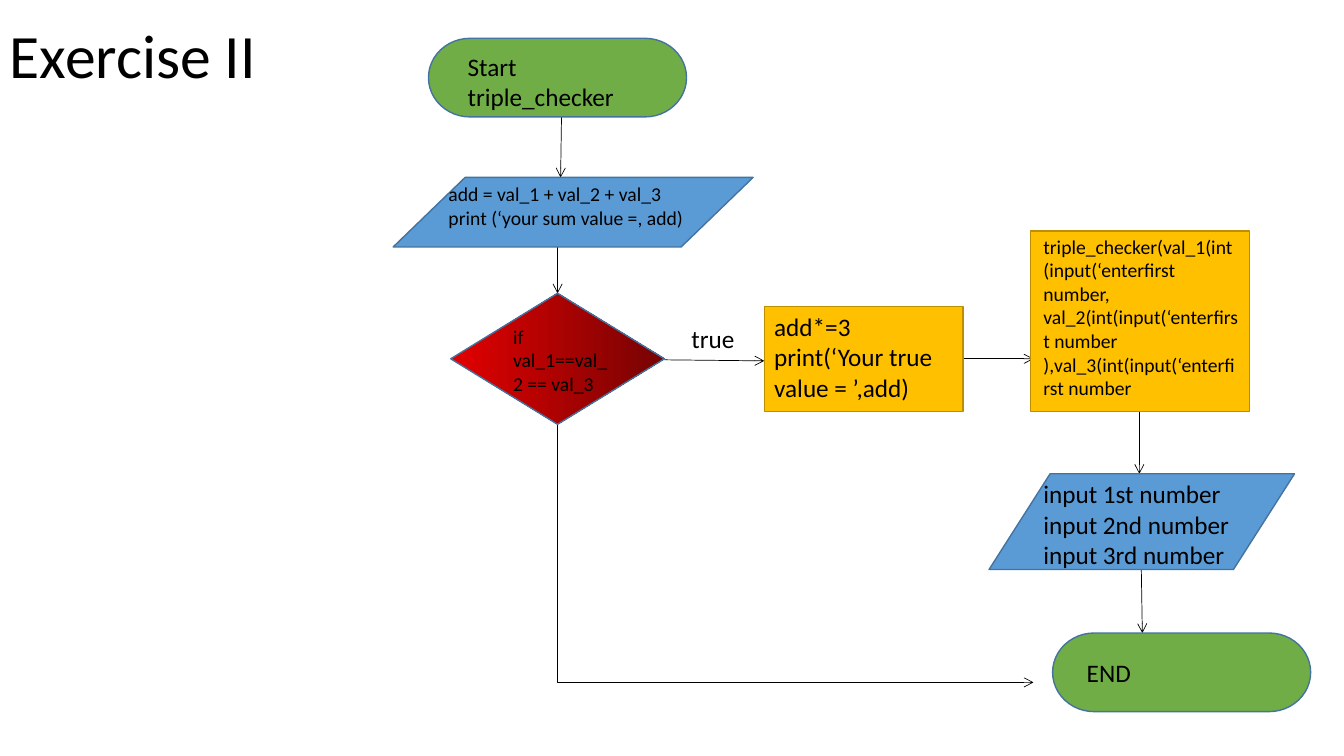
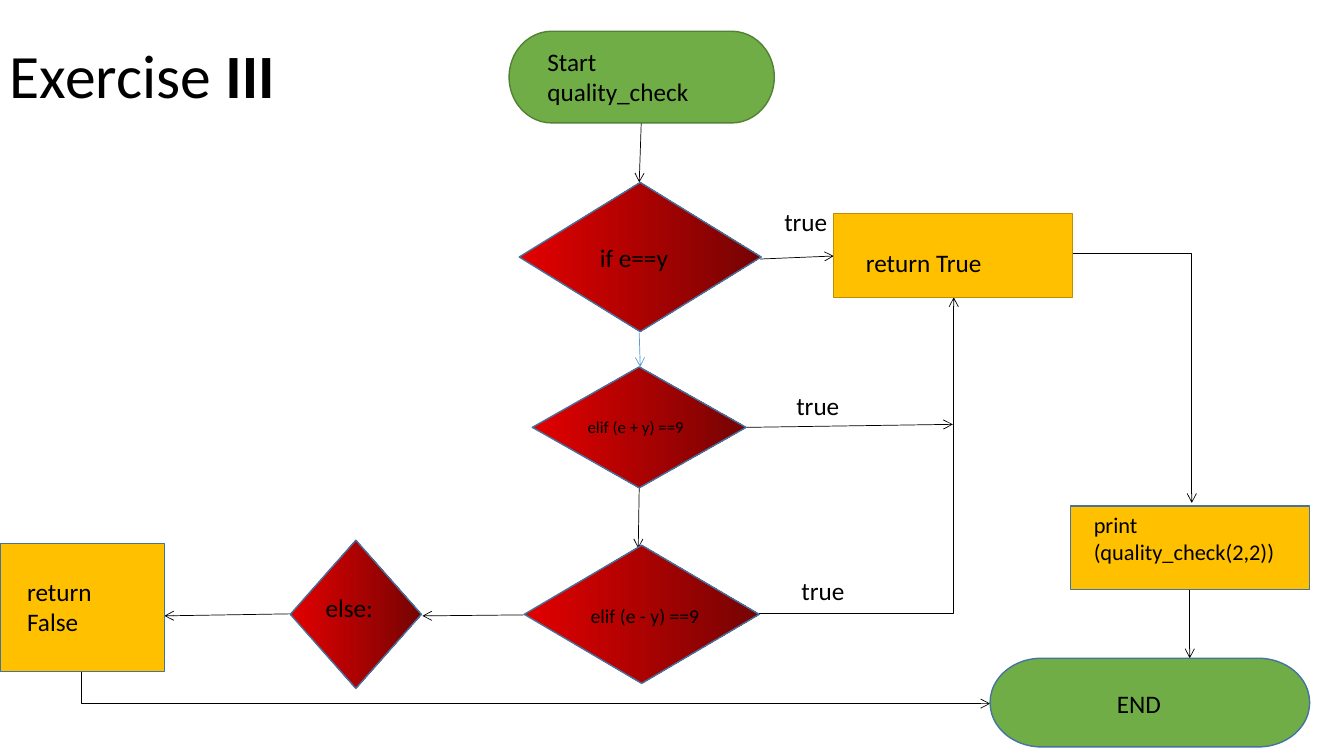
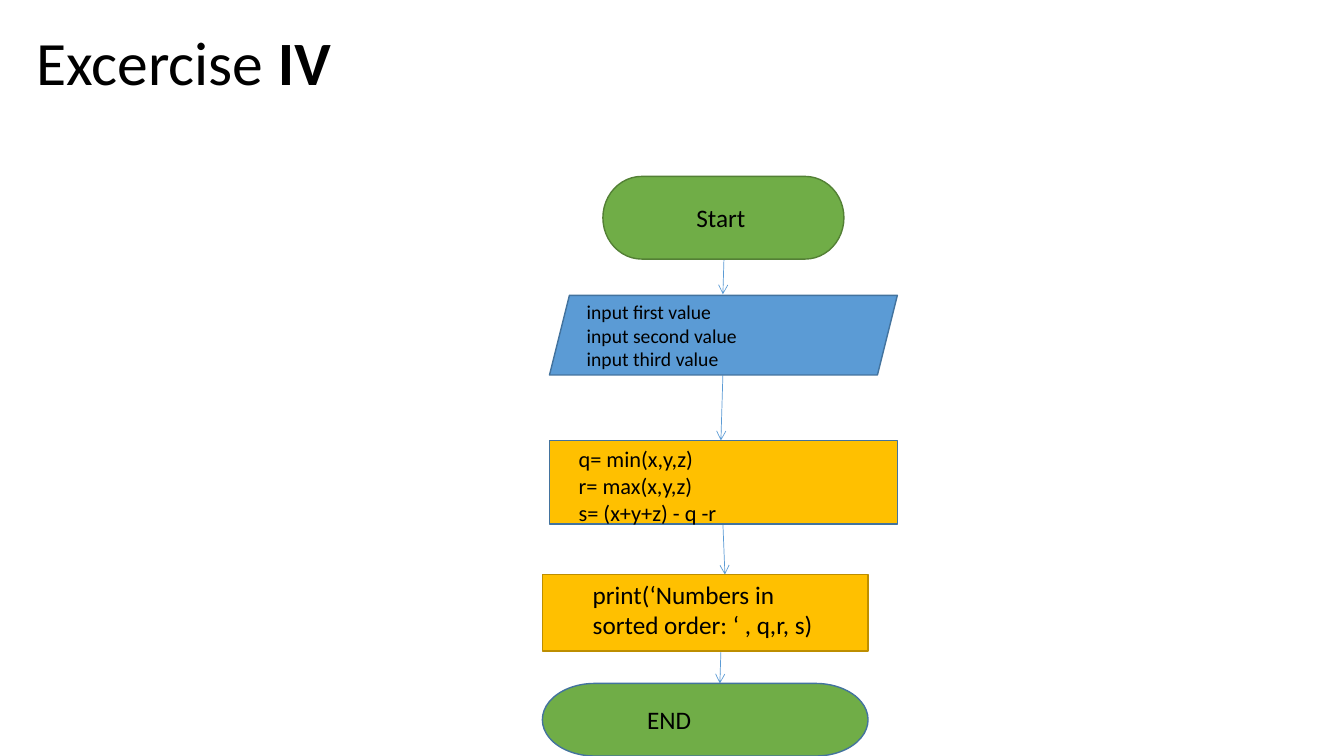
from pptx import Presentation
from pptx import util as u
from pptx.dml.color import RGBColor
from pptx.enum import shapes, text
from pptx.oxml.ns import qn
from lxml import etree

BLACK = RGBColor(0x00, 0x00, 0x00)
GREEN = RGBColor(0x70, 0xAD, 0x47)
BLUE = RGBColor(0x5B, 0x9B, 0xD5)
GOLD = RGBColor(0xFF, 0xC0, 0x00)
RED = RGBColor(0xE3, 0x00, 0x00)
DARK_RED = RGBColor(0x76, 0x03, 0x03)
BLUE_EDGE = RGBColor(0x43, 0x73, 0x9E)
GREEN_EDGE = RGBColor(0x53, 0x80, 0x35)
GOLD_EDGE = RGBColor(0xBD, 0x8E, 0x00)

FONT = "Calibri"
SHAPE = shapes.MSO_SHAPE
TERMINAL = (SHAPE.FLOWCHART_TERMINATOR, GREEN)
DATA = (SHAPE.FLOWCHART_DATA, BLUE)
SLANTED = (SHAPE.PARALLELOGRAM, BLUE)
PROCESS = (SHAPE.FLOWCHART_PROCESS, GOLD)
DECISION = (SHAPE.FLOWCHART_DECISION, None)  # None: red gradient
STRAIGHT, ACROSS, DOWN = "straight", "across first", "down first"

prs = Presentation()
prs.slide_width, prs.slide_height = u.Inches(13.33), u.Inches(7.5)
CELL = prs.slide_height / 75  # the grid has 75 rows of square cells


def grid(*cells):
    """Turn grid cells into whole slide units."""
    return [u.Emu(round(c * CELL)) for c in cells]


def write(s, box, size, paragraphs):
    """Add a wrapping text box and return its text frame."""
    tf = s.shapes.add_textbox(*grid(*box)).text_frame
    tf.word_wrap = True
    for i, line in enumerate(paragraphs):
        p = tf.paragraphs[0] if i == 0 else tf.add_paragraph()
        p.font.size, p.font.name, p.font.color.rgb = u.Pt(size), FONT, BLACK
        p.add_run().text = line
    return tf


# Boxes: left, top, width, height. Arrows: from x, y to x, y. All in cells.
triple_checker = dict(
    title=("Exercise II", "", (0, 0, 29.4, 11.7)),
    ink=BLACK,
    arrows=[
        (STRAIGHT, 55.7, 11.2, 55.6, 17.6),
        (STRAIGHT, 55.3, 24.1, 55.3, 29.1),
        (STRAIGHT, 65.9, 35.7, 75.8, 35.8),
        (STRAIGHT, 95.5, 35.6, 102.5, 35.6),
        (STRAIGHT, 113, 40.8, 113, 47),
        (STRAIGHT, 113.2, 56.5, 113.3, 62.8),
        (DOWN, 55.3, 42.1, 102.5, 67.7),
    ],
    steps=[
        (TERMINAL, BLUE_EDGE, (42.5, 3.8, 25.6, 7.8)),
        (DATA, BLUE_EDGE, (39, 17.6, 35.7, 6.9)),
        (DECISION, BLUE_EDGE, (44.7, 29.1, 21.2, 13)),
        (PROCESS, GOLD_EDGE, (75.8, 30.4, 19.7, 10.4)),
        (PROCESS, GOLD_EDGE, (102.2, 22.9, 21.7, 17.9)),
        (DATA, BLUE_EDGE, (98.1, 47, 30.3, 9.5)),
        (TERMINAL, BLUE_EDGE, (104.4, 62.8, 25.6, 7.8)),
    ],
    labels=[
        (18, (45.4, 4.6, 20.5, 7.1), ["Start triple_checker"]),
        (14, (43.5, 17.6, 26.3, 5.7),
         ["add = val_1 + val_2 + val_3", "print (‘your sum value =, add)"]),
        (14, (49.9, 31.7, 11.6, 8.1), ["if val_1==val_2 == val_3"]),
        (18, (67.6, 31.6, 8.2, 4), ["true"]),
        (18, (75.8, 30.4, 18.9, 10.1),
         ["add*=3", "print(‘Your true value = ’,add)"]),
        (14, (102.5, 22.8, 21.3, 22.2),
         ["triple_checker(val_1(int(input(‘enterfirst number, "
          "val_2(int(input(‘enterfirst number",
          "),val_3(int(input(‘enterfirst number"]),
        (18, (102.5, 47, 24.1, 10.1),
         [f"input {nth} number" for nth in ("1st", "2nd", "3rd")]),
        (18, (106.8, 64.7, 17.1, 4), ["END"]),
    ],
)

quality_check = dict(
    title=("Exercise ", "III", (0, 1.7, 50.5, 12.2)),
    ink=BLACK,
    arrows=[
        (STRAIGHT, 63.6, 12.2, 63.4, 18.1),
        (STRAIGHT, 63.4, 48.4, 63.3, 54.4),
        (STRAIGHT, 52, 61, 41.9, 61.1),
        (STRAIGHT, 28.8, 60.9, 16.3, 61.1),
        (STRAIGHT, 74, 42.4, 94.5, 42.1),
        (STRAIGHT, 75.4, 25.7, 82.7, 25.4),
        (STRAIGHT, 118, 58.5, 118, 65.3),
        (ACROSS, 75.3, 60.9, 94.6, 29.5),
        (ACROSS, 106.4, 25.1, 118.2, 49.9),
        (DOWN, 8.1, 66.6, 98.2, 69.8),
    ],
    blue_arrows=[(STRAIGHT, 63.4, 33, 63.5, 36.4)],
    steps=[
        (TERMINAL, GREEN_EDGE, (50.5, 3.1, 26.3, 9.1)),
        (DECISION, BLUE_EDGE, (51.5, 18.1, 24, 14.8)),
        (DECISION, BLUE_EDGE, (52.8, 36.4, 21.2, 12)),
        (DECISION, BLUE_EDGE, (52, 54.1, 23.3, 13.7)),
        (DECISION, BLUE_EDGE, (28.8, 53.6, 13, 14.7)),
        (PROCESS, BLUE_EDGE, (0, 53.9, 16.3, 12.7)),
        (PROCESS, GOLD_EDGE, (82.7, 21.2, 23.7, 8.3)),
        (PROCESS, BLUE_EDGE, (106.2, 50.2, 23.7, 8.3)),
        (TERMINAL, BLUE_EDGE, (98.2, 65.3, 31.7, 8.8)),
    ],
    labels=[
        (18, (53.3, 4.1, 20.2, 7.1), ["Start quality_check"]),
        (18, (58.5, 23.5, 10.1, 4), ["if e==y"]),
        (12, (57.3, 40.9, 19.5, 3), ["elif (e + y) ==9"]),
        (14, (57.6, 59.4, 13.4, 3.4), ["elif (e - y) ==9"]),
        (18, (31.3, 58.3, 8.2, 4), ["else:"]),
        (18, (1.7, 56.7, 12.9, 7.1), ["return", "False"]),
        (18, (76.8, 20, 6.8, 4), ["true"]),
        (18, (78, 38.2, 10.3, 4), ["true"]),
        (18, (78.5, 56.6, 11.6, 4), ["true"]),
        (18, (84.9, 24, 19.6, 4), ["return True"]),
        (16, (107.5, 50.2, 21, 6.4), ["print (quality_check(2,2))"]),
        (18, (109.8, 67.8, 16, 4), ["END"]),
    ],
)

number_sorter = dict(
    title=("Excercise ", "IV", (2.6, 1.2, 42.9, 10.6)),
    ink=BLUE,
    arrows=[
        (STRAIGHT, 71.8, 25.8, 71.7, 29.2),
        (STRAIGHT, 71.7, 37.2, 71.5, 43.7),
        (STRAIGHT, 71.7, 51.9, 71.9, 57),
        (STRAIGHT, 71.5, 64.6, 71.4, 67.8),
    ],
    steps=[
        (TERMINAL, GREEN_EDGE, (59.8, 17.5, 23.9, 8.2)),
        (SLANTED, BLUE_EDGE, (54.5, 29.3, 34.5, 7.9)),
        (PROCESS, BLUE_EDGE, (54.5, 43.7, 34.5, 8.3)),
        (PROCESS, GOLD_EDGE, (53.8, 57, 32.3, 7.6)),
        (TERMINAL, BLUE_EDGE, (53.8, 67.8, 32.3, 7.2)),
    ],
    centred="Start",
    labels=[
        (18, (61.5, 19.6, 20, 4), ["Start"]),
        (14, (57.2, 29.3, 28.9, 8.1),
         [f"input {nth} value" for nth in ("first", "second", "third")]),
        (16, (56.4, 43.7, 40.2, 9.1),
         ["q= min(x,y,z)", "r= max(x,y,z)", "s= (x+y+z) - q -r"]),
        (18, (57.8, 57, 25.9, 7.1),
         ["print(‘Numbers in sorted order: ‘ , q,r, s)"]),
        (18, (63.2, 69.4, 18.9, 4), ["END"]),
    ],
)

for chart in (triple_checker, quality_check, number_sorter):
    s = prs.slides.add_slide(prs.slide_layouts[6])

    plain, bold, box = chart["title"]
    tf = write(s, box, 44, [plain])
    tf.vertical_anchor = text.MSO_ANCHOR.MIDDLE
    tf.paragraphs[0].line_spacing = 0.9
    if bold:
        r = tf.paragraphs[0].add_run()
        r.text, r.font.bold = bold, True

    arrows = [(chart["ink"], *a) for a in chart["arrows"]]
    arrows += [(BLUE, *a) for a in chart.get("blue_arrows", [])]
    for ink, route, x1, y1, x2, y2 in arrows:
        if route == DOWN:  # laid out on its side, then turned upright
            cx, cy = (x1 + x2) / 2, (y1 + y2) / 2
            dx, dy = (x2 - x1) / 2, (y2 - y1) / 2
            x1, y1, x2, y2 = cx - dy, cy + dx, cx + dy, cy - dx
        kind = shapes.MSO_CONNECTOR
        kind = kind.STRAIGHT if route == STRAIGHT else kind.ELBOW
        arrow = s.shapes.add_connector(kind, *grid(x1, y1, x2, y2))
        arrow.line.color.rgb, arrow.line.width = ink, u.Pt(0.5)
        sp_pr = arrow._element.spPr
        if route != STRAIGHT:
            sp_pr.find(qn("a:prstGeom")).set("prst", "bentConnector2")
        if route == DOWN:
            sp_pr.find(qn("a:xfrm")).set("rot", "5400000")
        ln = sp_pr.find(qn("a:ln"))
        etree.SubElement(ln, qn("a:tailEnd")).set("type", "arrow")
        etree.SubElement(sp_pr, qn("a:effectLst"))

    for (outline, colour), edge, box in chart["steps"]:
        sp = s.shapes.add_shape(outline, *grid(*box))
        sp.shadow.inherit = False
        sp.line.color.rgb, sp.line.width = edge, u.Pt(1)
        if colour is None:
            sp.fill.gradient()
            sp.fill.gradient_angle = 0
            for stop, shade in zip(sp.fill.gradient_stops, (RED, DARK_RED)):
                stop.color.rgb = shade
        else:
            sp.fill.solid()
            sp.fill.fore_color.rgb = colour

    for size, box, paragraphs in chart["labels"]:
        tf = write(s, box, size, paragraphs)
        tf.auto_size = text.MSO_AUTO_SIZE.SHAPE_TO_FIT_TEXT
        if paragraphs[0] == chart.get("centred"):
            tf.paragraphs[0].alignment = text.PP_ALIGN.CENTER

prs.save("out.pptx")
